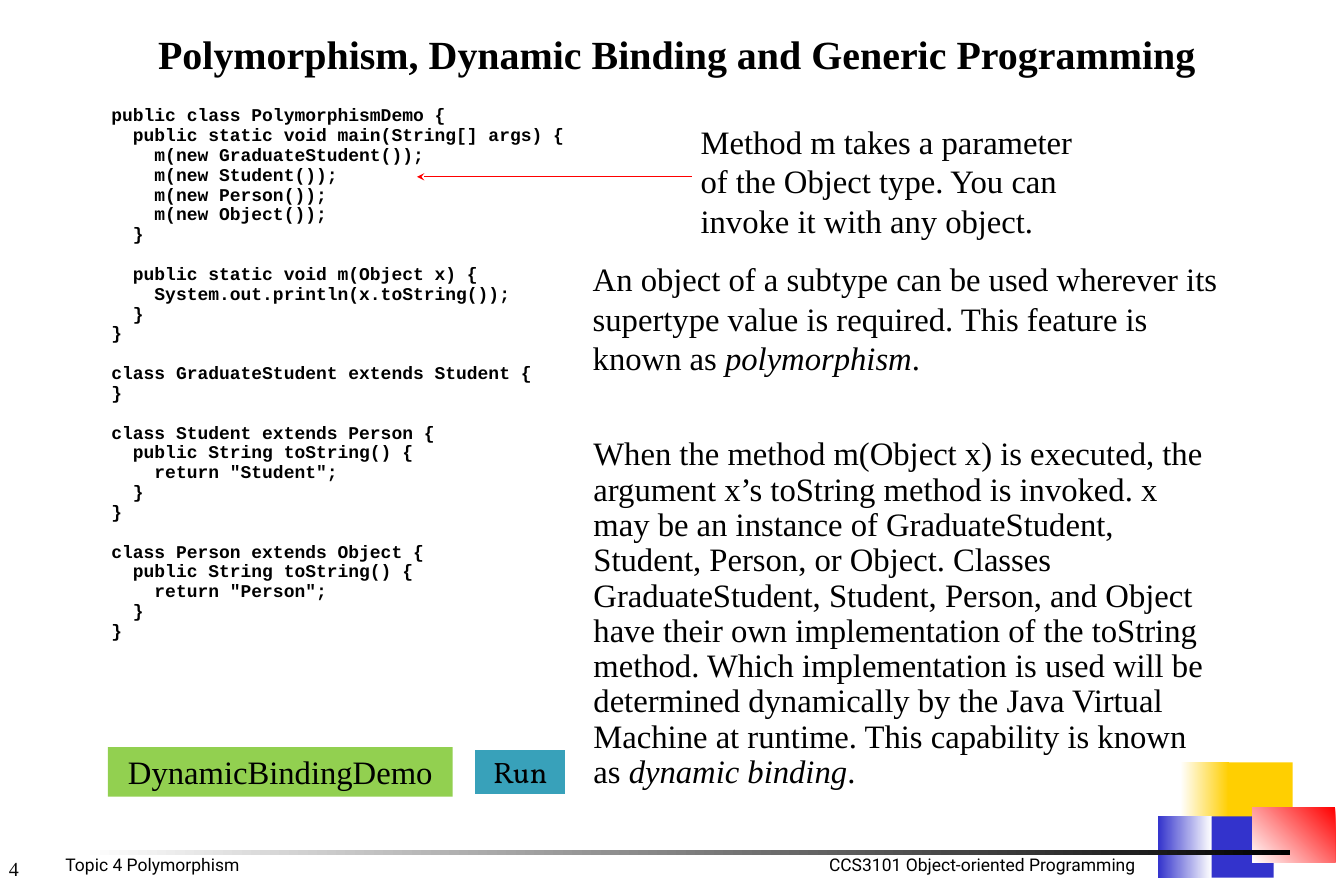
from lxml import etree
from pptx import Presentation
from pptx.dml.color import RGBColor
from pptx.enum.shapes import MSO_CONNECTOR, MSO_SHAPE
from pptx.enum.text import MSO_ANCHOR, PP_ALIGN
from pptx.oxml.ns import qn
from pptx.util import Cm, Pt

RECT = MSO_SHAPE.RECTANGLE
BUTTON = MSO_SHAPE.ACTION_BUTTON_CUSTOM
STRAIGHT = MSO_CONNECTOR.STRAIGHT
TOP, MIDDLE, BOTTOM = MSO_ANCHOR.TOP, MSO_ANCHOR.MIDDLE, MSO_ANCHOR.BOTTOM
LEFT, CENTER = PP_ALIGN.LEFT, PP_ALIGN.CENTER

SERIF, MONO, SANS, BUTTON_FONT = "Times New Roman", "Courier New", "Roboto", "Vollkorn"
BODY_SIZE = 26.2
CODE_PITCH = 15.9

CODE_BLOCKS = [
    """public class PolymorphismDemo {
  public static void main(String[] args) {
    m(new GraduateStudent());
    m(new Student());
    m(new Person());
    m(new Object());
  }""",
    """  public static void m(Object x) {
    System.out.println(x.toString());
  }
}""",
    """class GraduateStudent extends Student {
}""",
    """class Student extends Person {
  public String toString() {
    return "Student";
  }
}""",
    """class Person extends Object {
  public String toString() {
    return "Person";
  }
}""",
]

PARAMETER_NOTE = [
    ("Method m takes a parameter of the Object type. You can invoke it with any object.", False),
]
POLYMORPHISM_NOTE = [
    ("An object of a subtype can be used wherever its supertype value is required. "
     "This feature is known as ", False),
    ("polymorphism", True),
    (".", False),
]
BINDING_NOTE = [
    ("When the method m(Object x) is executed, the argument x’s toString method is invoked. "
     "x may be an instance of GraduateStudent, Student, Person, or Object. "
     "Classes GraduateStudent, Student, Person, and Object have their own implementation "
     "of the toString method. Which implementation is used will be determined dynamically "
     "by the Java Virtual Machine at runtime. This capability is known as ", False),
    ("dynamic binding", True),
    (".", False),
]


def rgb(value):
    return RGBColor.from_string(value)


def add_run(p, text, font, size, color="000000", bold=False, italic=False):
    r = p.add_run()
    r.text = text
    r.font.name = font
    r.font.size = Pt(size)
    r.font.color.rgb = rgb(color)
    r.font.bold = bold
    r.font.italic = italic


def add_box(s, x, y, w, h, anchor=TOP):
    tf = s.shapes.add_textbox(Cm(x), Cm(y), Cm(w), Cm(h)).text_frame
    tf.word_wrap = True
    tf.vertical_anchor = anchor
    return tf


def add_block(s, x, y, w, h, *colors, angle=0, kind=RECT):
    sp = s.shapes.add_shape(kind, Cm(x), Cm(y), Cm(w), Cm(h))
    sp.shadow.inherit = False
    sp.line.fill.background()
    if len(colors) == 1:
        sp.fill.solid()
        sp.fill.fore_color.rgb = rgb(colors[0])
    else:
        sp.fill.gradient()
        sp.fill.gradient_angle = angle
        for stop, color in zip(sp.fill.gradient_stops, colors):
            stop.color.rgb = rgb(color)
    return sp


def add_title(s, x, y, w, h):
    title = s.shapes.title
    title.left, title.top, title.width, title.height = Cm(x), Cm(y), Cm(w), Cm(h)
    tf = title.text_frame
    tf.word_wrap = True
    tf.vertical_anchor = TOP
    p = tf.paragraphs[0]
    p.alignment = CENTER
    add_run(p, "Polymorphism, Dynamic Binding and Generic Programming", SERIF, 32, bold=True)


def add_corner(s, x, y):
    add_block(s, x + 0.64, y, 1.37, 1.73, "FFFFFF", "FFCF01")
    add_block(s, x, y + 1.53, 1.52, 1.73, "3333CC", "FFFFFF")
    add_block(s, x + 1.98, y, 1.83, 1.73, "FFCF01")
    add_block(s, x + 1.52, y + 1.53, 1.75, 1.73, "3333CC")
    add_block(s, x + 2.67, y + 1.27, 2.34, 1.55, "FF0000", "FFFFFF", angle=225)


def add_footer(s, x, y, w, h):
    add_block(s, x + 2.29, y + 0.71, w - 3.81, 0.13, "FFFFFF", "000000")
    tf = add_box(s, x, y, 1.6, h, BOTTOM)
    add_run(tf.paragraphs[0], "4", SERIF, 16, "080808")
    for offset, text in [(1.6, "Topic 4 Polymorphism"),
                         (23.19, "CCS3101 Object-oriented Programming")]:
        tf = add_box(s, x + offset, y + 0.69, 10, 0.89)
        add_run(tf.paragraphs[0], text, SANS, 14)


def add_code(s, x, y, w, h):
    tf = add_box(s, x, y, w, h)
    p = tf.paragraphs[0]
    for b, block in enumerate(CODE_BLOCKS):
        for n, line in enumerate(block.split("\n")):
            if b or n:
                p = tf.add_paragraph()
            p.line_spacing = Pt(CODE_PITCH)
            p.space_before = Pt(CODE_PITCH if b and not n else 0)
            add_run(p, line, MONO, 14.4, bold=True)


def add_note(s, x, y, w, h, runs, pitch):
    p = add_box(s, x, y, w, h).paragraphs[0]
    p.line_spacing = Pt(pitch)
    for text, italic in runs:
        add_run(p, text, SERIF, BODY_SIZE, italic=italic)


def add_notes(s, x, y, w):
    add_note(s, x + 3.05, y, 11.94, 3.63, PARAMETER_NOTE, 31.4)
    add_note(s, x, y + 3.88, w, 3.63, POLYMORPHISM_NOTE, 31.4)
    add_note(s, x + 0.02, y + 8.91, w - 0.38, 10.57, BINDING_NOTE, 28.3)
    arrow = s.shapes.add_connector(STRAIGHT, Cm(x + 3.05), Cm(y + 1.67),
                                   Cm(x - 4.72), Cm(y + 1.67))
    arrow.line.color.rgb = rgb("FF0000")
    arrow.line.width = Pt(1)
    etree.SubElement(arrow.line._get_or_add_ln(), qn("a:tailEnd"), type="stealth")
    etree.SubElement(arrow._element.spPr, qn("a:effectLst"))


def add_buttons(s, x, y):
    demo = add_block(s, x, y, 9.75, 1.4, "92D050")
    run = add_block(s, x + 10.39, y + 0.08, 2.54, 1.24, "38A1BA", kind=BUTTON)
    for sp, text, font, size in [(demo, "DynamicBindingDemo", SERIF, BODY_SIZE),
                                 (run, "Run", BUTTON_FONT, 23.6)]:
        tf = sp.text_frame
        tf.word_wrap = False
        tf.vertical_anchor = MIDDLE
        p = tf.paragraphs[0]
        p.alignment = CENTER
        add_run(p, text, font, size)


def main():
    prs = Presentation()
    prs.slide_width, prs.slide_height = Cm(38), Cm(25)
    s = prs.slides.add_slide(prs.slide_layouts[5])
    add_corner(s, 32.74, 21.56)
    add_footer(s, 0, 23.34, 38, 1.68)
    add_title(s, 3.18, 0.7, 31.95, 2.49)
    add_code(s, 2.9, 2.86, 13.61, 16.69)
    add_notes(s, 16.51, 3.33, 18.62)
    add_buttons(s, 3.05, 21.13)
    prs.save("out.pptx")


if __name__ == "__main__":
    main()
